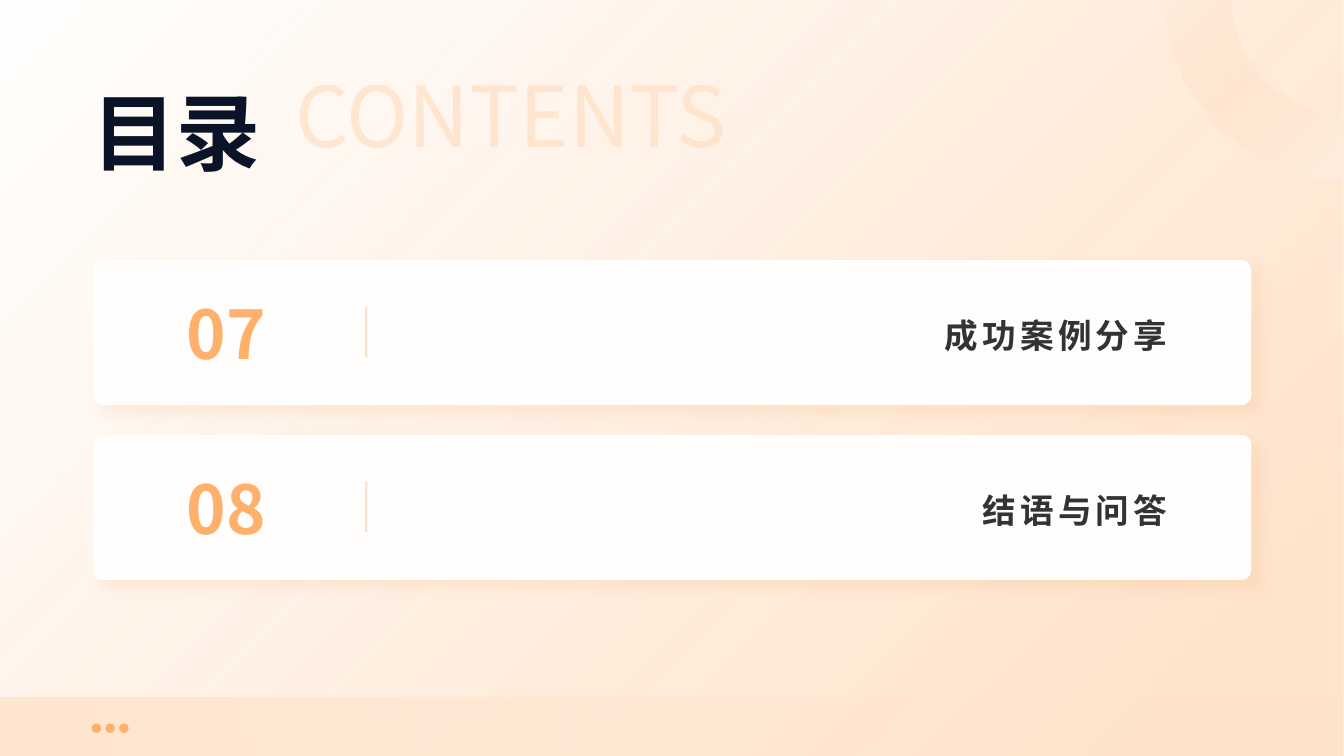
import math

from lxml import etree
from pptx import Presentation
from pptx.dml.color import RGBColor
from pptx.enum.shapes import MSO_CONNECTOR, MSO_SHAPE
from pptx.enum.text import MSO_ANCHOR, PP_ALIGN
from pptx.oxml.ns import qn
from pptx.util import Pt

RECT, ROUNDED, OVAL = MSO_SHAPE.RECTANGLE, MSO_SHAPE.ROUNDED_RECTANGLE, MSO_SHAPE.OVAL
STRAIGHT = MSO_CONNECTOR.STRAIGHT
TOP, MIDDLE, BOTTOM = MSO_ANCHOR.TOP, MSO_ANCHOR.MIDDLE, MSO_ANCHOR.BOTTOM
LEFT, CENTER, RIGHT = PP_ALIGN.LEFT, PP_ALIGN.CENTER, PP_ALIGN.RIGHT

FONT = "Noto Sans CJK SC"
WIDTH, HEIGHT = 960, 540
COLORS = {
    "orange": "FFB06A", "deep": "FF8010", "band": "FFE6D0",
    "ring": "FFD8B5", "ring_end": "FFEFE1", "pale": "FFDFC3",
    "card": "FFFEFD", "shadow": "E86C00", "title": "0B1427", "text": "333333",
}
ENTRIES = [("07", "成功案例分享"), ("08", "结语与问答")]


def rgb(name):
    return RGBColor.from_string(COLORS[name])


def set_alpha(color_element, percent):
    etree.SubElement(color_element, qn("a:alpha"), val=str(percent * 1000))


def fill_gradient(fill, element, stops, angle):
    """Apply two (position, colour, opacity) stops; angle runs clockwise."""
    fill.gradient()
    fill.gradient_angle = (360 - angle) % 360
    for stop, gs, (position, color, opacity) in zip(
            fill.gradient_stops, element.iter(qn("a:gs")), stops):
        stop.position = position / 100
        stop.color.rgb = rgb(color)
        if opacity < 100:
            set_alpha(gs[0], opacity)


def plain(shape, color=None):
    shape.shadow.inherit = False
    shape.line.fill.background()
    if color:
        shape.fill.solid()
        shape.fill.fore_color.rgb = rgb(color)
    return shape


def add_shape(slide, kind, box, color=None):
    return plain(slide.shapes.add_shape(kind, *map(Pt, box)), color)


def add_text(slide, text, box, size, color="text", bold=True, align=LEFT, anchor=MIDDLE,
             wrap=True, line_spacing=None, spacing=0, opacity=100, gradient=None):
    frame = slide.shapes.add_textbox(*map(Pt, box)).text_frame
    frame.margin_left = frame.margin_top = frame.margin_right = frame.margin_bottom = 0
    frame.word_wrap = wrap
    frame.vertical_anchor = anchor
    paragraph = frame.paragraphs[0]
    paragraph.alignment = align
    if line_spacing:
        paragraph.line_spacing = line_spacing
    run = paragraph.add_run()
    run.text = text
    run.font.size, run.font.bold, run.font.name = Pt(size), bold, FONT
    properties = run.font._element
    if gradient:
        fill_gradient(run.font.fill, properties, gradient, 45)
    else:
        run.font.color.rgb = rgb(color)
        if opacity < 100:
            set_alpha(next(properties.iter(qn("a:srgbClr"))), opacity)
    if spacing:
        properties.set("spc", str(round(spacing * 100)))
    properties.find(qn("a:latin")).addnext(
        etree.Element(qn("a:ea"), typeface=FONT))


def add_ring(slide, center_x, center_y, outer, inner):
    """Quarter ring from the left of its centre to below it."""
    angles = [math.radians(90 + 2 * step) for step in range(46)]
    points = [(center_x + radius * math.cos(a), center_y + radius * math.sin(a))
              for radius, sweep in ((outer, angles), (inner, angles[::-1])) for a in sweep]
    builder = slide.shapes.build_freeform(*points[0], scale=Pt(1))
    builder.add_line_segments(points[1:], close=True)
    ring = plain(builder.convert_to_shape())
    fill_gradient(ring.fill, ring._element, [(0, "ring", 0), (100, "ring_end", 100)], 45)
    # The tint runs from clear at top left to pale at bottom right


def add_backdrop(slide, width, height):
    # Diagonal wash
    wash = add_shape(slide, RECT, (0, 0, width, height))
    fill_gradient(wash.fill, wash._element, [(0, "orange", 0), (88, "orange", 34)], 45)
    # Footer band, fading to the right
    band_top = height - 42
    band = add_shape(slide, RECT, (0, band_top, width, 42))
    fill_gradient(band.fill, band._element, [(0, "band", 100), (100, "band", 0)], 0)
    # Footer dots
    for index in range(3):
        add_shape(slide, OVAL, (65.5 + 9.8 * index, band_top + 18.8, 6.8, 6.8), "orange")
    # Corner ring
    add_ring(slide, width, 0, 127.5, 80)


def add_heading(slide, left, top):
    add_text(slide, "目录", (left, top, 138, 85), 60, color="title", anchor=BOTTOM)
    add_text(slide, "CONTENTS", (left + 145, top + 1, 330, 87), 60, color="pale",
             bold=False, anchor=TOP, wrap=False, opacity=70)


def add_entry(slide, number, heading, left, top, width, height):
    # Card with soft shadow
    card = add_shape(slide, ROUNDED, (left, top, width, height), "card")
    card.adjustments[0] = 0.07
    effects = card._element.spPr.find(qn("a:effectLst"))
    shadow = etree.SubElement(effects, qn("a:outerShdw"), blurRad=str(Pt(8)), dist=str(Pt(8)),
                              dir="2700000", algn="tl", rotWithShape="0")
    set_alpha(etree.SubElement(shadow, qn("a:srgbClr"), val=COLORS["shadow"]), 8)
    # Divider
    x = left + 195.4
    divider = slide.shapes.add_connector(
        STRAIGHT, Pt(x), Pt(top + 33.5), Pt(x), Pt(top + 69.5))
    divider.line.width = Pt(1.5)
    divider.line.color.rgb = rgb("pale")
    set_alpha(next(divider._element.spPr.iter(qn("a:srgbClr"))), 95)
    etree.SubElement(divider._element.spPr, qn("a:effectLst"))
    # Number and heading
    add_text(slide, number, (left + 34, top + 12.3, 123, 79), 48, align=CENTER, wrap=False,
             gradient=[(28, "orange", 100), (75, "deep", 100)])
    add_text(slide, heading, (left + 207.5, top + 19.2, width - 267.5, 65.5), 24,
             align=RIGHT, line_spacing=1.1, spacing=3)


def main():
    deck = Presentation()
    deck.slide_width, deck.slide_height = Pt(WIDTH), Pt(HEIGHT)
    slide = deck.slides.add_slide(deck.slide_layouts[6])
    add_backdrop(slide, WIDTH, HEIGHT)
    add_heading(slide, 66, 44.6)
    for index, (number, heading) in enumerate(ENTRIES):
        add_entry(slide, number, heading, 66.2, 185.8 + 124.8 * index, 827.6, 103.6)
    deck.save("out.pptx")


if __name__ == "__main__":
    main()
